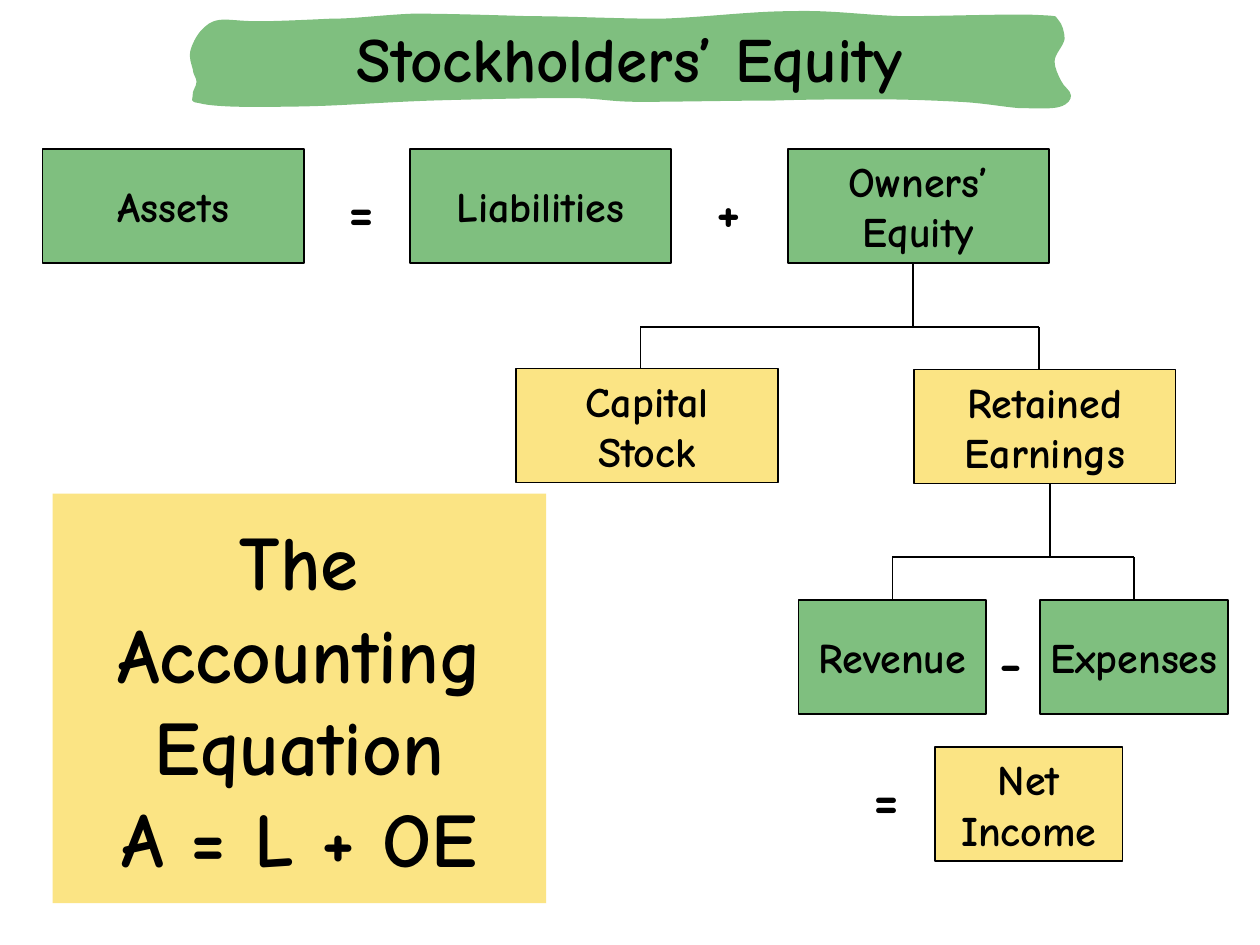
from lxml.etree import SubElement
from pptx import Presentation
from pptx.dml.color import RGBColor
from pptx.enum.shapes import MSO_CONNECTOR, MSO_SHAPE
from pptx.enum.text import MSO_ANCHOR, PP_ALIGN
from pptx.oxml.ns import qn
from pptx.util import Cm, Pt

FONT = "Comic Neue"
BLACK, GREEN, YELLOW = "000000", "008000", "F8CB0A"
BOX_W, SMALL_W, BOX_H = 5.27, 3.78, 2.3
RIBBON_START = (545, 71)
RIBBON_CURVES = [
    (520, 71, 495, 71, 464, 72), (433, 72, 386, 73, 359, 73),
    (331, 73, 328, 70, 300, 70), (273, 70, 225, 71, 193, 72),
    (162, 73, 135, 75, 111, 76), (87, 77, 65, 77, 48, 77),
    (31, 77, 15, 76, 8, 74), (0, 73, 3, 71, 3, 68),
    (2, 65, 6, 61, 6, 57), (6, 54, 3, 51, 3, 47),
    (2, 43, 0, 39, 1, 33), (2, 28, 6, 20, 10, 16),
    (14, 12, 17, 9, 24, 8), (31, 7, 40, 9, 55, 9),
    (69, 9, 91, 8, 112, 7), (133, 7, 152, 4, 178, 3),
    (204, 3, 237, 4, 270, 5), (302, 5, 339, 7, 374, 7),
    (409, 6, 446, 1, 478, 1), (510, 0, 534, 4, 566, 5),
    (599, 5, 653, 3, 673, 4), (694, 5, 686, 5, 690, 8),
    (693, 11, 695, 18, 695, 23), (694, 29, 687, 35, 687, 41),
    (687, 46, 690, 52, 692, 56), (694, 61, 700, 64, 700, 68),
    (700, 71, 698, 75, 691, 77), (684, 79, 672, 78, 659, 78),
    (646, 77, 631, 74, 612, 73), (593, 72, 569, 71, 545, 71),
]


def color(value):
    return RGBColor.from_string(value)


def fill_half(sp, value):
    sp.shadow.inherit = False
    sp.fill.solid()
    sp.fill.fore_color.rgb = color(value)
    clr = sp._element.spPr.find(qn("a:solidFill")).find(qn("a:srgbClr"))
    SubElement(clr, qn("a:alpha"), val="50000")


def write(sp, text, size=24, align=PP_ALIGN.CENTER, anchor=MSO_ANCHOR.MIDDLE, wrap=False):
    tf = sp.text_frame
    tf.word_wrap = wrap
    tf.vertical_anchor = anchor
    for i, line in enumerate(text.split("\n")):
        p = tf.add_paragraph() if i else tf.paragraphs[0]
        p.alignment = align
        r = p.add_run()
        r.text = line
        r.font.name = FONT
        r.font.size = Pt(size)
        r.font.bold = True
        r.font.color.rgb = color(BLACK)


def add_box(s, text, x, y, w, fill, h=BOX_H, outline=True, **fmt):
    sp = s.shapes.add_shape(MSO_SHAPE.RECTANGLE, Cm(x), Cm(y), Cm(w), Cm(h))
    fill_half(sp, fill)
    if outline:
        sp.line.color.rgb = color(BLACK)
        sp.line.width = Pt(1)
    else:
        sp.line.fill.background()
    write(sp, text, **fmt)
    return sp


def add_text(parent, text, x, y, w, h, **fmt):
    write(parent.shapes.add_textbox(Cm(x), Cm(y), Cm(w), Cm(h)), text, **fmt)


def add_sign(s, text, x, y):
    add_text(s, text, x, y, 1.07, 1.6, size=32, align=PP_ALIGN.LEFT,
             anchor=MSO_ANCHOR.TOP, wrap=True)


def add_line(s, x1, y1, x2, y2):
    ln = s.shapes.add_connector(MSO_CONNECTOR.STRAIGHT, Cm(x1), Cm(y1), Cm(x2), Cm(y2))
    ln.line.color.rgb = color(BLACK)
    ln.line.width = Pt(1)
    SubElement(ln._element.spPr, qn("a:effectLst"))
    return ln


def add_branch(s, left, right, stem, top, bar, bottom):
    drops = [add_line(s, x, bar, x, bottom) for x in (left, right)]
    add_line(s, left, bar, right, bar)
    add_line(s, stem, top, stem, bar)
    return drops


def add_ribbon(parent, x, y, w, h):
    def place(px, py):
        return Cm(x + px * w / 700), Cm(y + py * h / 78)

    fb = parent.shapes.build_freeform(*place(*RIBBON_START))
    fb.add_line_segments([place(*curve[4:]) for curve in RIBBON_CURVES])
    sp = fb.convert_to_shape()
    segments = list(sp._element.iter(qn("a:lnTo")))
    for segment, curve in zip(segments, RIBBON_CURVES):
        segment.tag = qn("a:cubicBezTo")
        end = segment[0]
        for i in (0, 2):
            px, py = place(*curve[i:i + 2])
            pt = SubElement(segment, qn("a:pt"), x=str(px - sp.left), y=str(py - sp.top))
            end.addprevious(pt)
    fill_half(sp, GREEN)
    sp.line.fill.background()


def add_title(s, x, y, w, h):
    grp = s.shapes.add_group_shape()
    add_ribbon(grp, x, y, w, h)
    add_text(grp, "Stockholders’ Equity", x + 0.41, y + 0.23, w - 0.84, 1.47, size=36)


def add_equation(s, x, y):
    add_box(s, "Assets", x, y, BOX_W, GREEN)
    add_box(s, "Liabilities", x + 7.4, y, BOX_W, GREEN)
    add_box(s, "Owners’\nEquity", x + 15.02, y, BOX_W, GREEN)
    add_sign(s, "=", x + 5.92, y + 0.41)
    add_sign(s, "+", x + 13.33, y + 0.41)


def add_equity_parts(s, x, y):
    add_box(s, "Capital\nStock", x, y, BOX_W, YELLOW)
    add_box(s, "Retained\nEarnings", x + 8.02, y + 0.02, BOX_W, YELLOW)
    add_branch(s, x + 2.5, x + 10.54, x + 8, y - 2.12, y - 0.84, y)


def add_income(s, x, y):
    revenue = add_box(s, "Revenue", x, y, SMALL_W, GREEN)
    expenses = add_box(s, "Expenses", x + 4.87, y, SMALL_W, GREEN)
    drops = add_branch(s, x + 1.89, x + 6.76, x + 5.06, y - 2.34, y - 0.86, y)
    for drop, sp in zip(drops, (revenue, expenses)):
        drop.end_connect(sp, 0)
    add_box(s, "Net\nIncome", x + 2.75, y + 2.97, SMALL_W, YELLOW)
    add_sign(s, "-", x + 3.79, y + 0.41)
    add_sign(s, "=", x + 1.25, y + 3.18)


def main():
    prs = Presentation()
    prs.slide_width, prs.slide_height = Cm(25.4), Cm(19.05)
    s = prs.slides.add_slide(prs.slide_layouts[6])
    add_equation(s, 0.86, 3)
    add_equity_parts(s, 10.41, 7.43)
    add_income(s, 16.1, 12.09)
    add_box(s, "The Accounting Equation\nA = L + OE", 1.06, 9.95, 9.95, YELLOW,
            h=8.26, outline=False, size=44, wrap=True)
    add_title(s, 3.81, 0.2, 17.78, 1.98)
    prs.save("out.pptx")


if __name__ == "__main__":
    main()
